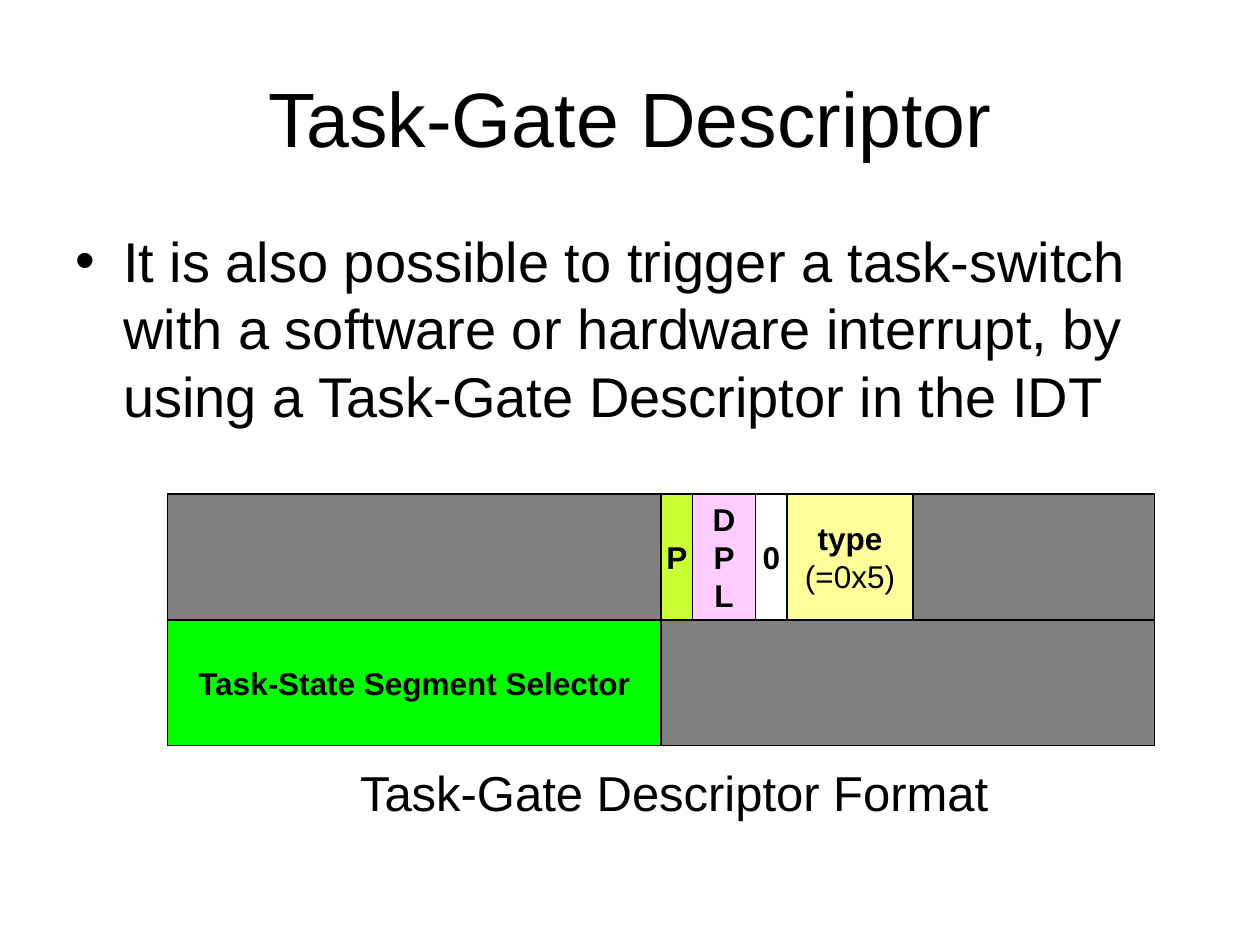
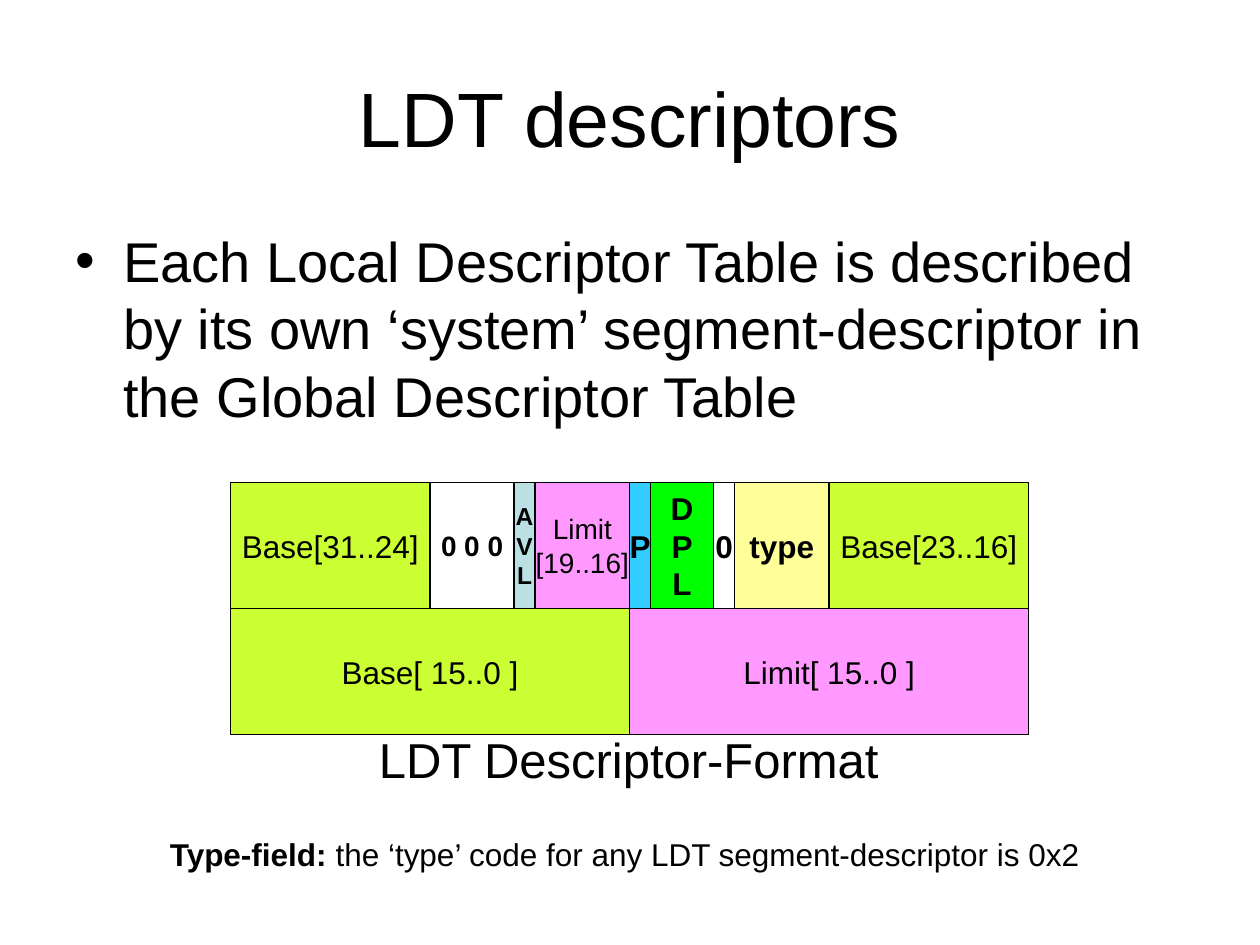
from lxml import etree
from pptx import Presentation
from pptx.dml.color import RGBColor
from pptx.enum.shapes import MSO_SHAPE
from pptx.enum.text import MSO_ANCHOR, PP_ALIGN
from pptx.oxml.ns import qn
from pptx.util import Inches, Pt

FONT = "Arial"
BLACK, WHITE, GREY = "000000", "FFFFFF", "808080"
LIME, GREEN, YELLOW = "CCFF33", "00FF00", "FFFF99"
ROSE, PINK, SKY, TEAL = "FFCCFF", "FF99FF", "33CCFF", "BBE0E3"

TITLE_BOX = (0.5, 0.3, 9, 1.25)
BODY_BOX = (0.5, 1.75, 9, 4.95)
FIELD_UNIT = 1 / 12  # field widths are counted in twelfths of an inch
ROW_HEIGHT = 1


def color(hex_string):
    return RGBColor.from_string(hex_string)


def write_runs(paragraph, runs, size, align):
    """Each run is a (text, bold) pair."""
    paragraph.alignment = align
    for text, bold in runs:
        run = paragraph.add_run()
        run.text = text
        run.font.color.rgb = color(BLACK)
        for name, value in {"name": FONT, "size": Pt(size), "bold": bold}.items():
            setattr(run.font, name, value)


def write_lines(frame, lines, size, align, **frame_format):
    """Each line is a list of runs and becomes one paragraph."""
    for name, value in frame_format.items():
        setattr(frame, name, value)
    for number, runs in enumerate(lines):
        paragraph = frame.add_paragraph() if number else frame.paragraphs[0]
        write_runs(paragraph, runs, size, align)


def add_text(slide, box, runs, size, align=PP_ALIGN.LEFT, wrap=False,
             anchor=MSO_ANCHOR.TOP):
    frame = slide.shapes.add_textbox(*map(Inches, box)).text_frame
    write_lines(frame, [runs], size, align, word_wrap=wrap, vertical_anchor=anchor)
    return frame


def add_title(slide, title):
    add_text(slide, TITLE_BOX, [(title, False)], 44, PP_ALIGN.CENTER, True,
             MSO_ANCHOR.MIDDLE)


def add_bullet(slide, statement):
    frame = add_text(slide, BODY_BOX, [(statement, False)], 32, wrap=True)
    properties = frame.paragraphs[0]._p.get_or_add_pPr()
    properties.set("marL", str(Inches(0.38)))
    properties.set("indent", str(Inches(-0.38)))
    etree.SubElement(properties, qn("a:buFont")).set("typeface", FONT)
    etree.SubElement(properties, qn("a:buChar")).set("char", "•")


def add_field(slide, box, fill, lines, size):
    field = slide.shapes.add_shape(MSO_SHAPE.RECTANGLE, *map(Inches, box))
    field.shadow.inherit = False
    field.fill.solid()
    field.fill.fore_color.rgb = color(fill)
    field.line.color.rgb = color(BLACK)
    field.line.width = Pt(0.75)
    write_lines(field.text_frame, lines, size, PP_ALIGN.CENTER, word_wrap=False,
                vertical_anchor=MSO_ANCHOR.MIDDLE)


def add_descriptor(slide, left, top, rows):
    """Stack the rows; the fields of a row sit side by side."""
    for row_number, fields in enumerate(rows):
        x = left
        for units, fill, lines, size in fields:
            width = units * FIELD_UNIT
            box = (x, top + row_number * ROW_HEIGHT, width, ROW_HEIGHT)
            add_field(slide, box, fill, lines, size)
            x += width


def field(units, fill, *words, bold=False, size=18):
    return units, fill, [[(word, bold)] for word in words], size


def add_descriptor_slide(deck, title, statement, corner, rows, caption_box, caption):
    slide = deck.slides.add_slide(deck.slide_layouts[6])
    add_title(slide, title)
    add_bullet(slide, statement)
    add_descriptor(slide, *corner, rows)
    add_text(slide, caption_box, [(caption, False)], 28)
    return slide


def add_task_gate_slide(deck):
    type_field = (12, YELLOW, [[("type", True)], [("(=0x5)", False)]], 18)
    rows = [
        [field(47, GREY), field(3, LIME, "P", bold=True),
         field(6, ROSE, *"DPL", bold=True), field(3, WHITE, "0", bold=True),
         type_field, field(23, GREY)],
        [field(47, GREEN, "Task-State Segment Selector", bold=True),
         field(47, GREY)],
    ]
    add_descriptor_slide(
        deck, "Task-Gate Descriptor",
        "It is also possible to trigger a task-switch with a software or hardware "
        "interrupt, by using a Task-Gate Descriptor in the IDT",
        (1.33, 3.92), rows, (2.76, 6, 5.23, 0.57), "Task-Gate Descriptor Format")


def add_ldt_slide(deck):
    rows = [
        [field(19, LIME, "Base[31..24]"), field(8, WHITE, "0 0 0", bold=True, size=16),
         field(2, TEAL, *"AVL", bold=True, size=14),
         field(9, PINK, "Limit", "[19..16]", size=16),
         field(2, SKY, "P", bold=True), field(6, GREEN, *"DPL", bold=True),
         field(2, WHITE, "0", bold=True), field(9, YELLOW, "type", bold=True),
         field(19, LIME, "Base[23..16]")],
        [field(38, LIME, "Base[ 15..0 ]"), field(38, PINK, "Limit[ 15..0 ]")],
    ]
    slide = add_descriptor_slide(
        deck, "LDT descriptors",
        "Each Local Descriptor Table is described by its own ‘system’ "
        "segment-descriptor in the Global Descriptor Table",
        (1.83, 3.83), rows, (2.91, 5.74, 4.17, 0.57), "LDT Descriptor-Format")
    # Note on the type code
    add_text(slide, (1.25, 6.58, 7.45, 0.4),
             [("Type-field:", True),
              (" the ‘type’ code for any LDT segment-descriptor is 0x2", False)], 18)


def main():
    deck = Presentation()
    deck.slide_width, deck.slide_height = Inches(10), Inches(7.5)
    add_task_gate_slide(deck)
    add_ldt_slide(deck)
    deck.save("out.pptx")


if __name__ == "__main__":
    main()
